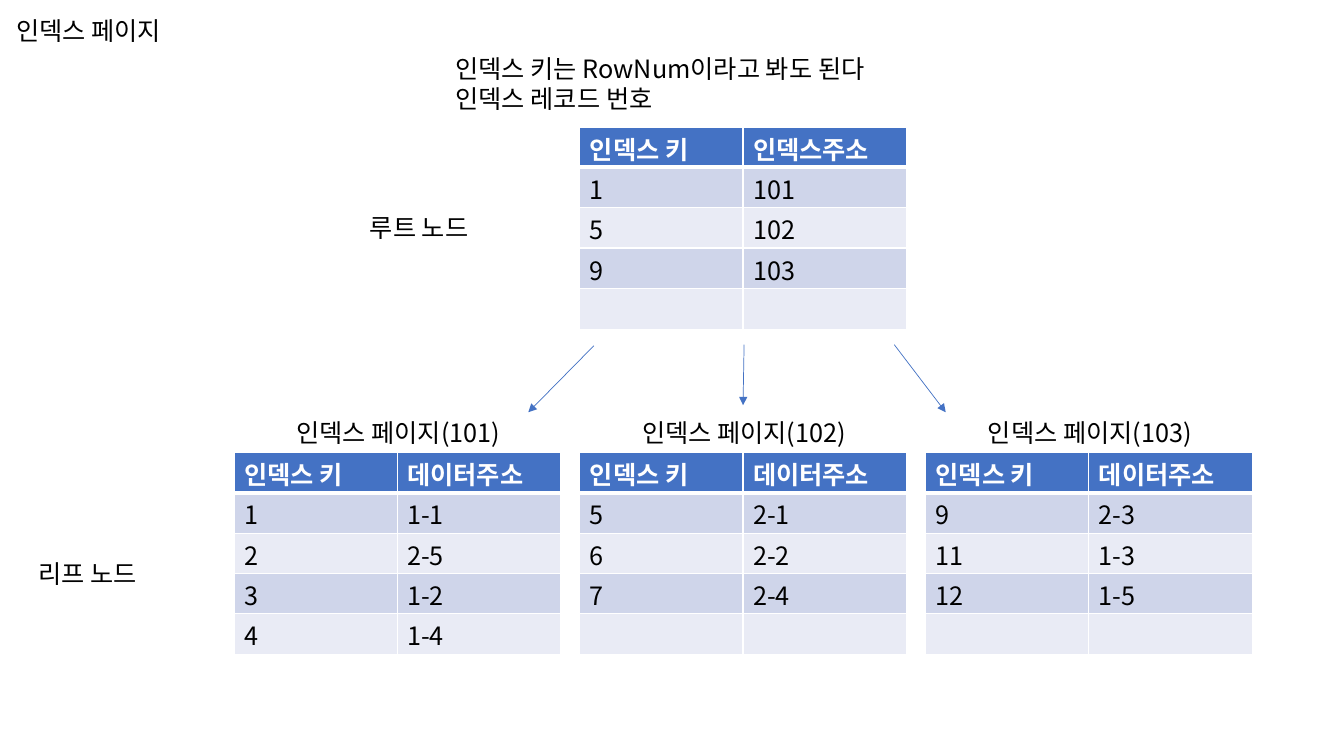
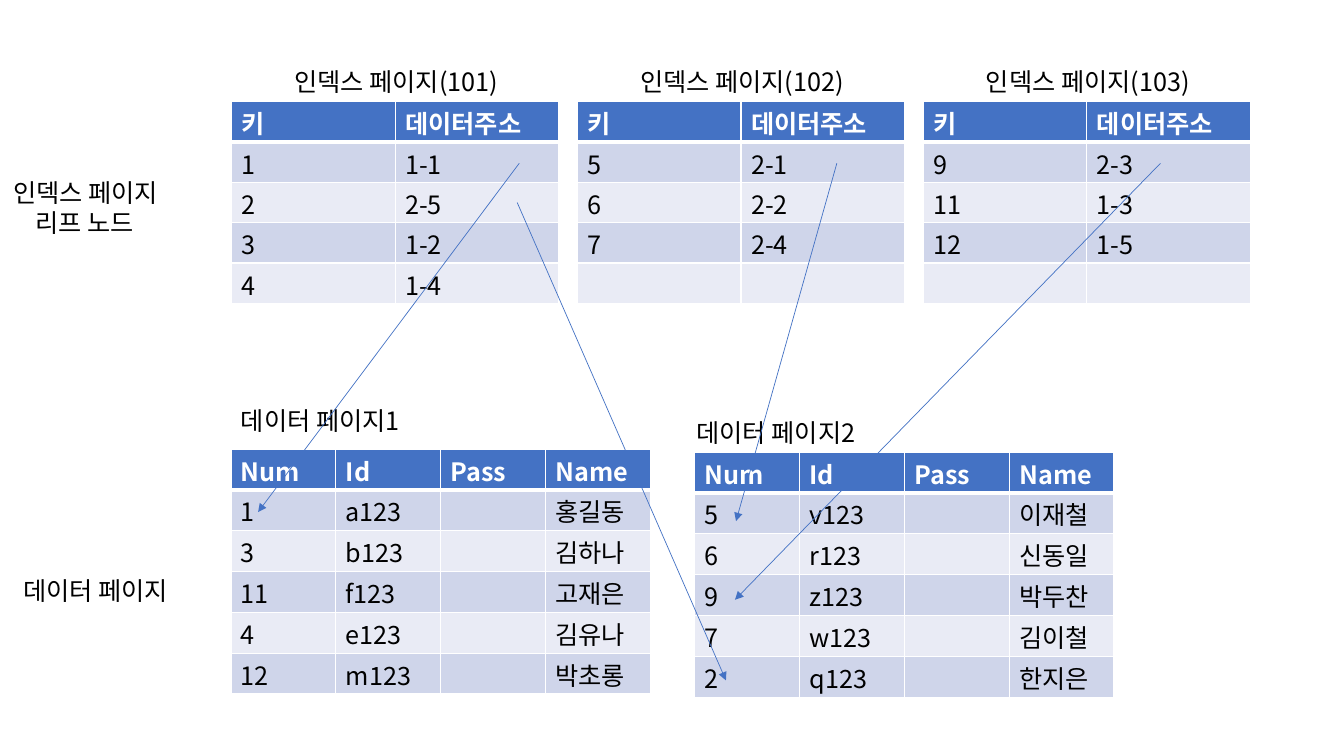
from pptx import Presentation
from pptx.dml.color import RGBColor as Rgb
from pptx.enum.shapes import MSO_CONNECTOR as Conn
from pptx.enum.text import MSO_ANCHOR as Anchor, MSO_AUTO_SIZE as Auto, PP_ALIGN as Align
from pptx.oxml.ns import qn
from pptx.util import Inches, Pt
from lxml.etree import SubElement as Sub

FONT = "Noto Sans CJK JP"
BLUE, WHITE, BLACK = "4472C4", "FFFFFF", "000000"
BANDS = ("CFD5EA", "E9EBF5")
ROW = 0.4
GAP = 3.43
LEAVES = [
    ("101", [("1", "1-1"), ("2", "2-5"), ("3", "1-2"), ("4", "1-4")]),
    ("102", [("5", "2-1"), ("6", "2-2"), ("7", "2-4"), ("", "")]),
    ("103", [("9", "2-3"), ("11", "1-3"), ("12", "1-5"), ("", "")]),
]
PEOPLE = [
    [("1", "a123", "", "홍길동"), ("3", "b123", "", "김하나"),
     ("11", "f123", "", "고재은"), ("4", "e123", "", "김유나"),
     ("12", "m123", "", "박초롱")],
    [("5", "v123", "", "이재철"), ("6", "r123", "", "신동일"),
     ("9", "z123", "", "박두찬"), ("7", "w123", "", "김이철"),
     ("2", "q123", "", "한지은")],
]


def color(code):
    """Turn a hex string into a colour."""
    return Rgb.from_string(code)


def write(para, text, code=BLACK, bold=False):
    """Set a paragraph's spacing and add its text as one run."""
    para.line_spacing = Pt(21.6)
    para.space_before = Pt(0)
    para.alignment = Align.LEFT
    if not text:
        para.font.size = Pt(18)
        return
    run = para.add_run()
    run.text = text
    font = run.font
    font.name, font.size, font.bold = FONT, Pt(18), bold
    font.color.rgb = color(code)
    Sub(run._r.get_or_add_rPr(), qn("a:ea"), typeface=FONT)


def fill_text(shape, lines):
    """Write lines into a shape from its top left."""
    frame = shape.text_frame
    frame.word_wrap = True
    frame.auto_size = Auto.NONE
    frame.vertical_anchor = Anchor.TOP
    for num, line in enumerate(lines):
        write(frame.add_paragraph() if num else frame.paragraphs[0], line)


def label(slide, x, y, wide, *lines):
    """Add a text box as tall as its lines."""
    high = 0.1 + 0.3 * len(lines)
    box = slide.shapes.add_textbox(Inches(x), Inches(y), Inches(wide), Inches(high))
    fill_text(box, lines)


def title(slide, x, y, text):
    """Move the title into place and write it."""
    head = slide.shapes.title
    head.left, head.top = Inches(x), Inches(y)
    head.width, head.height = Inches(1.89), Inches(0.71)
    fill_text(head, [text])


def border(cell, head):
    """Give a cell white edges, heavier below the header."""
    props = cell._tc.get_or_add_tcPr()
    for spot, side in enumerate(("lnL", "lnR", "lnT", "lnB")):
        wide = Pt(3 if head and side == "lnB" else 1)
        line = props.makeelement(qn("a:" + side), {"w": str(int(wide))})
        Sub(Sub(line, qn("a:solidFill")), qn("a:srgbClr"), val=WHITE)
        props.insert(spot, line)


def table(slide, x, y, wide, heads, rows):
    """Add a banded table under a blue header."""
    data = [heads, *rows]
    grid = slide.shapes.add_table(
        len(data), len(heads), Inches(x), Inches(y),
        Inches(wide * len(heads)), Inches(ROW * len(data))).table
    for col in grid.columns:
        col.width = Inches(wide)
    for r, row in enumerate(data):
        grid.rows[r].height = Inches(ROW)
        for c, text in enumerate(row):
            cell = grid.cell(r, c)
            cell.margin_top, cell.margin_bottom = Inches(0.09), Inches(0.01)
            cell.fill.solid()
            cell.fill.fore_color.rgb = color(BANDS[(r - 1) % 2] if r else BLUE)
            border(cell, r == 0)
            write(cell.text_frame.paragraphs[0], text, BLACK if r else WHITE, r == 0)


def arrow(slide, x1, y1, x2, y2):
    """Add a thin blue arrow between two points."""
    link = slide.shapes.add_connector(
        Conn.STRAIGHT, Inches(x1), Inches(y1), Inches(x2), Inches(y2))
    link.line.color.rgb = color(BLUE)
    link.line.width = Pt(0.5)
    Sub(link.line._get_or_add_ln(), qn("a:tailEnd"), type="triangle")
    Sub(link._element.spPr, qn("a:effectLst"))


def leaves(slide, x, y, key):
    """Add the row of index pages with their captions."""
    for num, (page, rows) in enumerate(LEAVES):
        left = x + num * GAP
        table(slide, left, y, 1.62, (key, "데이터주소"), rows)
        label(slide, left + 0.52, y - 0.4, 2.41, f"인덱스 페이지({page})")


def tree(slide):
    """Build the root node and its leaf pages."""
    title(slide, 0.06, 0.1, "인덱스 페이지")
    label(slide, 4.42, 0.48, 4.58,
          "인덱스 키는 RowNum이라고 봐도 된다", "인덱스 레코드 번호")
    label(slide, 3.57, 2.06, 1.28, "루트 노드")
    label(slide, 0.28, 5.49, 1.28, "리프 노드")
    table(slide, 5.75, 1.26, 1.62, ("인덱스 키", "인덱스주소"),
          [("1", "101"), ("5", "102"), ("9", "103"), ("", "")])
    leaves(slide, 2.32, 4.49, "인덱스 키")
    for ends in ((7.38, 3.42, 7.37, 4.02), (5.89, 3.43, 5.24, 4.09),
                 (8.87, 3.42, 9.38, 4.09)):
        arrow(slide, *ends)


def pages(slide):
    """Build the leaf pages and the data pages they point to."""
    title(slide, 0.03, 1.71, "인덱스 페이지")
    label(slide, 0.25, 2.01, 1.28, "리프 노드")
    label(slide, 0.13, 5.66, 2.31, "데이터 페이지")
    leaves(slide, 2.3, 1.01, "키")
    heads = ("Num", "Id", "Pass", "Name")
    table(slide, 2.29, 4.46, 1.04, heads, PEOPLE[0])
    table(slide, 6.89, 4.49, 1.04, heads, PEOPLE[1])
    label(slide, 2.29, 3.97, 2.31, "데이터 페이지1")
    label(slide, 6.81, 4.09, 2.31, "데이터 페이지2")
    for ends in ((5.15, 1.62, 2.56, 5.08), (5.13, 2.01, 7.2, 6.75),
                 (8.3, 1.62, 7.3, 5.17), (11.51, 1.62, 7.29, 5.95)):
        arrow(slide, *ends)


def main():
    """Build both slides and save them."""
    deck = Presentation()
    deck.slide_width, deck.slide_height = Inches(13.33), Inches(7.5)
    for build in (tree, pages):
        build(deck.slides.add_slide(deck.slide_layouts[5]))
    deck.save("out.pptx")


main()
